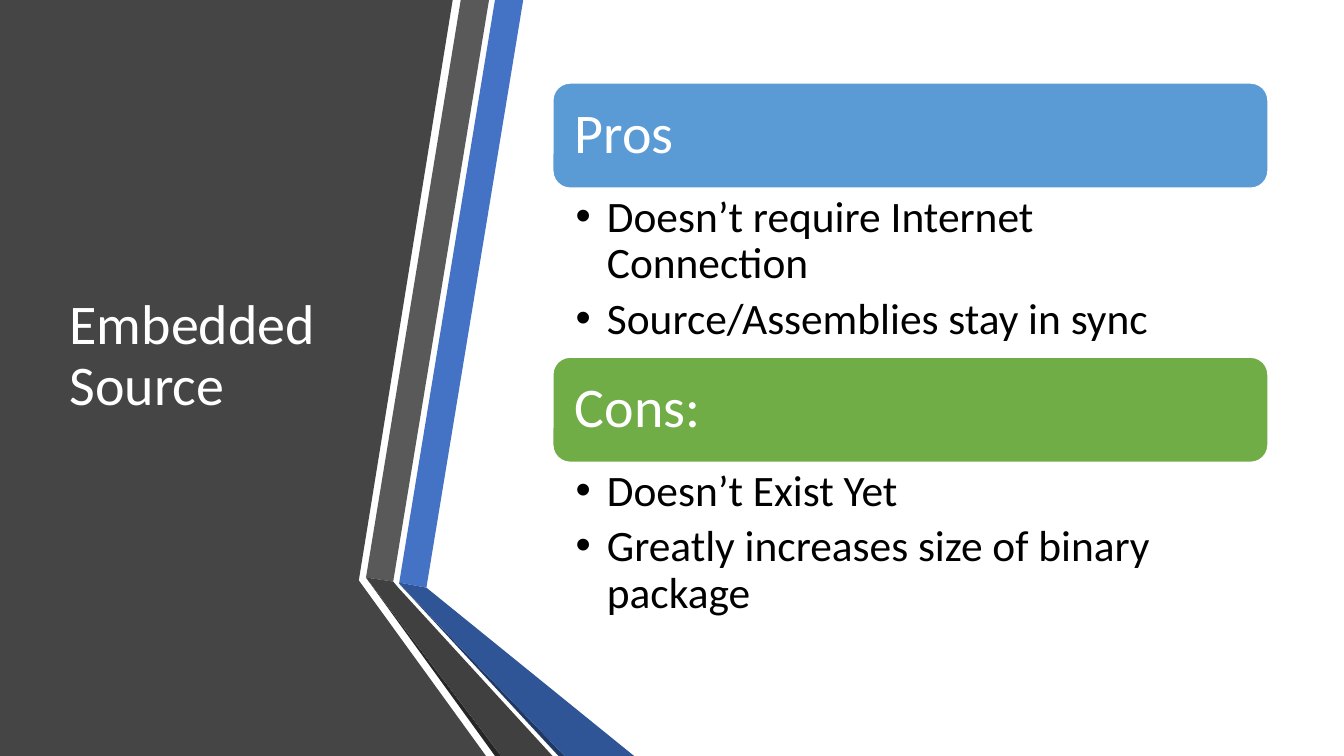
from pptx import Presentation
from pptx.dml.color import RGBColor
from pptx.enum.shapes import MSO_SHAPE
from pptx.enum.text import MSO_ANCHOR, MSO_AUTO_SIZE, PP_ALIGN
from pptx.oxml import parse_xml
from pptx.oxml.ns import nsdecls
from pptx.util import Inches, Pt

COLORS = {
    "white": "FFFFFF", "text": "000000", "panel": "454545",
    "blue": "4472C4", "blue_fold": "2F5597", "blue_edge": "203864",
    "gray": "595959", "gray_fold": "404040", "gray_edge": "262626",
    "pros": "5B9BD5", "cons": "70AD47",
}
FONT = "Calibri"

# Outlines in hundredths of an inch
PANEL = [(0, 0), (449, 0), (356, 575), (356, 576), (482, 750), (0, 750)]
RIBBONS = [
    ("blue", [(396, 578), (423, 583), (519, 0), (491, 0)]),
    ("gray", [(485, 0), (457, 0), (363, 573), (390, 577)]),
    ("gray_edge", [(363, 573), (491, 750), (497, 750)]),
    ("blue_edge", [(396, 579), (554, 750), (560, 750)]),
    ("blue_fold", [(396, 578), (396, 579), (560, 750), (629, 750), (423, 583)]),
    ("gray_fold", [(363, 573), (497, 750), (548, 750), (395, 583), (390, 577)]),
]
SECTIONS = [
    ("Pros", "pros", ["Doesn’t require Internet Connection",
                      "Source/Assemblies stay in sync"]),
    ("Cons:", "cons", ["Doesn’t Exist Yet",
                       "Greatly increases size of binary package"]),
]


def rgb(name):
    return RGBColor.from_string(COLORS[name])


def place(sp, x, y, w, h):
    sp.left, sp.top, sp.width, sp.height = (Inches(v) for v in (x, y, w, h))


def to_front(sp):
    sp._element.getparent().append(sp._element)


def set_frame(tf, anchor, insets):
    tf.word_wrap = True
    tf.auto_size = MSO_AUTO_SIZE.NONE
    tf.vertical_anchor = anchor
    tf.margin_left, tf.margin_top, tf.margin_right, tf.margin_bottom = (
        Inches(v) for v in insets)


def write(p, text, size, color, after=0):
    p.alignment = PP_ALIGN.LEFT
    p.line_spacing = 0.9
    p.space_before = Pt(0)
    p.space_after = Pt(after)
    r = p.add_run()
    r.text = text
    r.font.name = FONT
    r.font.size = Pt(size)
    r.font.color.rgb = rgb(color)


def add_outline(shapes, points, color, x, y):
    builder = shapes.build_freeform(*points[0], scale=Inches(0.01))
    builder.add_line_segments(points[1:], close=True)
    sp = builder.convert_to_shape(Inches(x), Inches(y))
    sp.shadow.inherit = False
    sp.fill.solid()
    sp.fill.fore_color.rgb = rgb(color)
    sp.line.fill.background()


def add_side_panel(s, x, y):
    """Dark panel with the two folded ribbons beside it."""
    add_outline(s.shapes, PANEL, "panel", x, y)
    ribbons = s.shapes.add_group_shape().shapes
    for color, points in RIBBONS:
        add_outline(ribbons, points, color, x, y)


def add_title(s, text, x, y, w, h):
    sp = s.shapes.title
    place(sp, x, y, w, h)
    set_frame(sp.text_frame, MSO_ANCHOR.MIDDLE, (0.1, 0.05, 0.1, 0.05))
    write(sp.text_frame.paragraphs[0], text, 40, "white")
    to_front(sp)


def add_section(s, body, section, x, y, w, h):
    """Coloured heading bar above a bulleted list."""
    heading, color, items = section
    bar_h = 1.05

    # Heading bar
    bar = s.shapes.add_shape(MSO_SHAPE.ROUNDED_RECTANGLE, Inches(x), Inches(y),
                             Inches(w), Inches(bar_h))
    bar.shadow.inherit = False
    bar.fill.solid()
    bar.fill.fore_color.rgb = rgb(color)
    bar.line.color.rgb = rgb("white")
    bar.line.width = Pt(1.5)
    set_frame(bar.text_frame, MSO_ANCHOR.MIDDLE, (0.17,) * 4)
    write(bar.text_frame.paragraphs[0], heading, 40, "white")

    # List
    place(body, x, y + bar_h, w, h - bar_h)
    tf = body.text_frame
    set_frame(tf, MSO_ANCHOR.TOP, (0.23, 0.06, 0.31, 0.06))
    for i, item in enumerate(items):
        p = tf.add_paragraph() if i else tf.paragraphs[0]
        write(p, item, 31, "text", after=6)
        pPr = p._p.get_or_add_pPr()
        pPr.set("marL", str(Inches(0.31)))
        pPr.set("indent", str(-Inches(0.31)))
        pPr.append(parse_xml(f'<a:buFont {nsdecls("a")} typeface="Arial"/>'))
        pPr.append(parse_xml(f'<a:buChar {nsdecls("a")} char="•"/>'))
    to_front(body)


def main():
    prs = Presentation()
    prs.slide_width, prs.slide_height = Inches(13.33), Inches(7.5)
    s = prs.slides.add_slide(prs.slide_layouts[3])  # Two Content

    add_side_panel(s, 0, 0)
    add_title(s, "Embedded Source", 0.59, 0.75, 3.04, 5.58)
    section_h = 2.72
    for i, section in enumerate(SECTIONS):
        add_section(s, s.placeholders[i + 1], section,
                    5.48, 0.82 + i * section_h, 7.1, section_h)

    prs.save("out.pptx")


if __name__ == "__main__":
    main()
